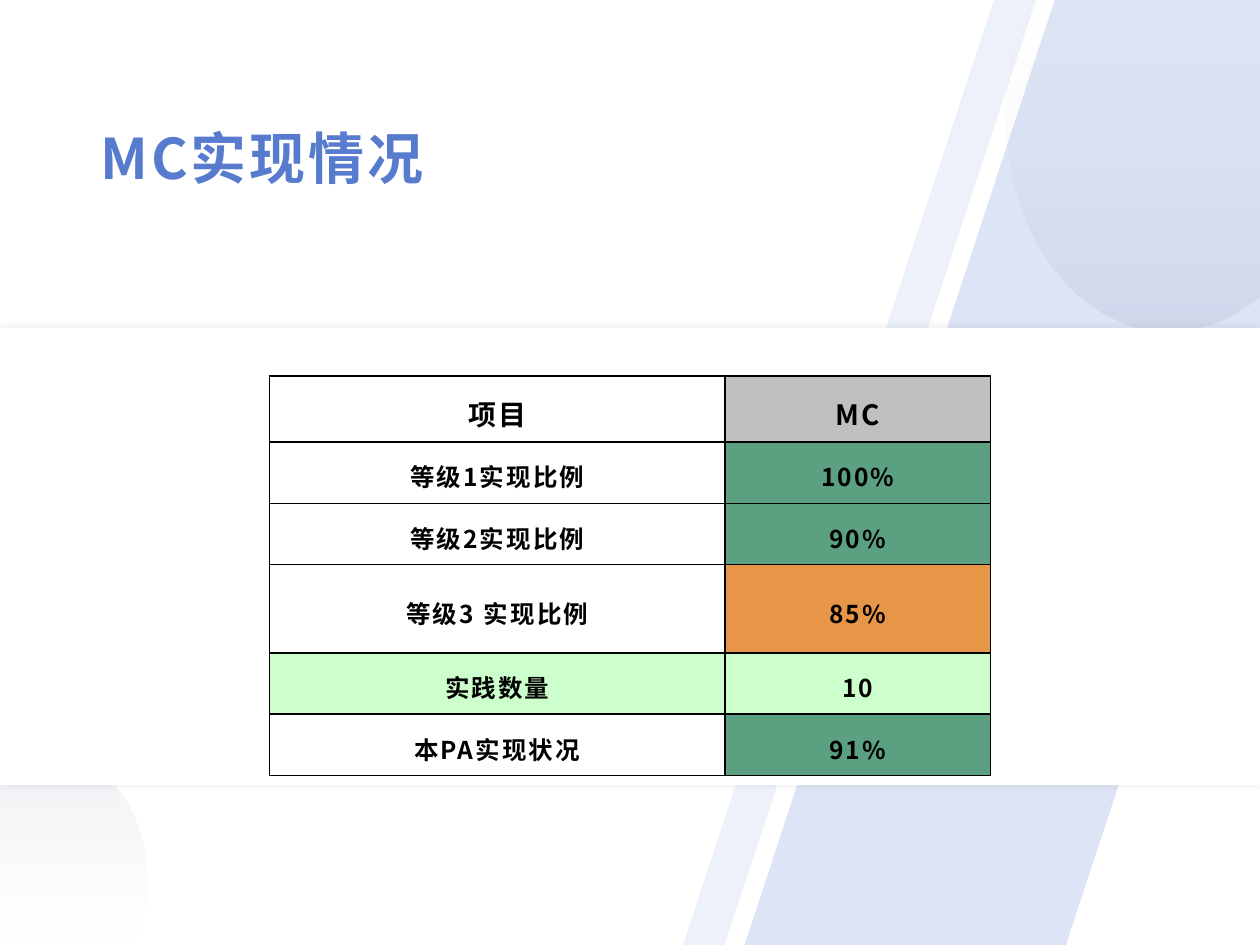
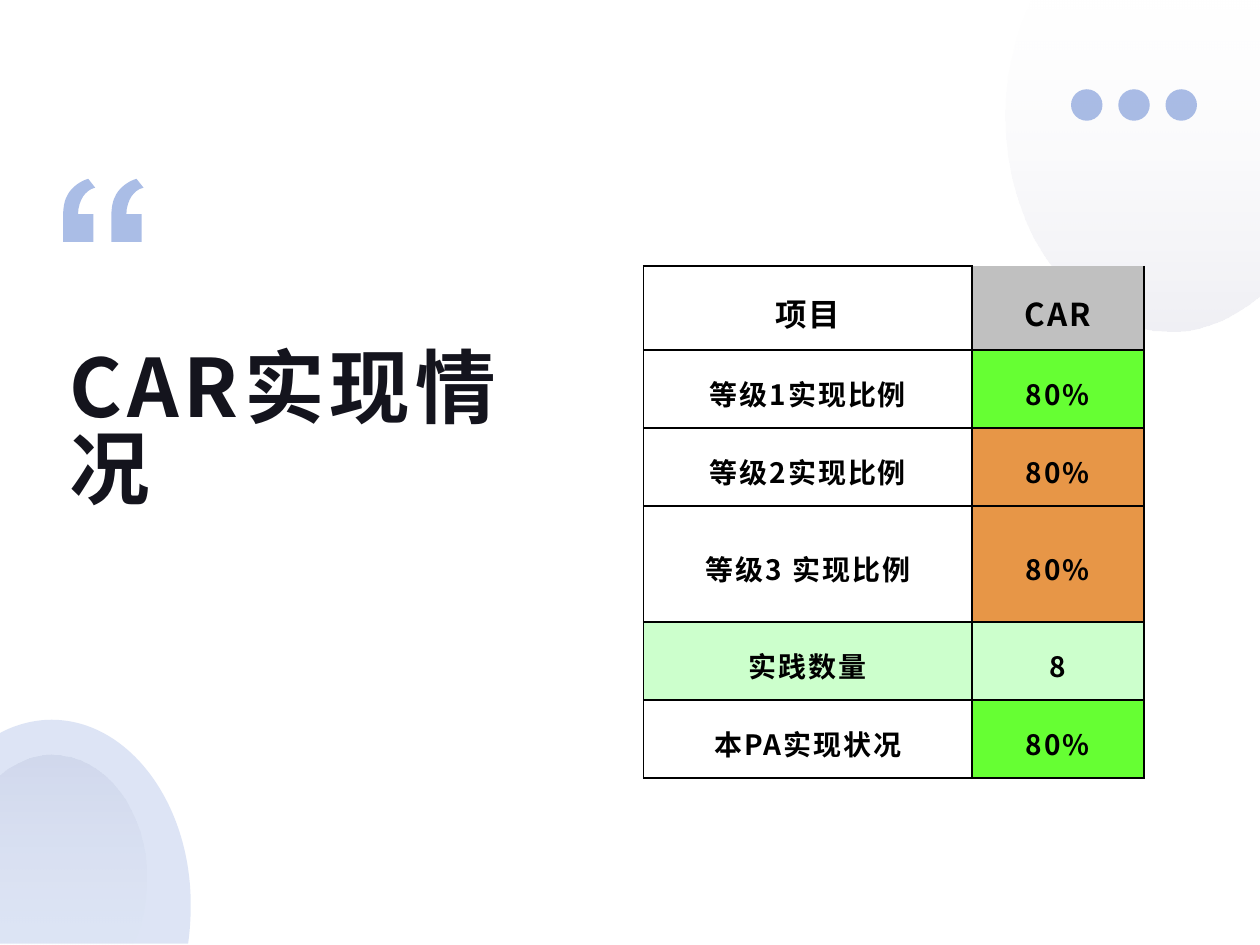
from dataclasses import dataclass

from lxml import etree
from pptx import Presentation
from pptx import util as u
from pptx.dml.color import RGBColor
from pptx.enum import shapes, text
from pptx.oxml import ns


@dataclass(frozen=True)
class Theme:
    font: str = "Noto Sans CJK SC"
    accent: str = "577CCE"
    ink: str = "14141D"
    black: str = "000000"
    white: str = "FFFFFF"
    mist: str = "BEBED2"
    shade: str = "0D0D0D"
    grey: str = "C0C0C0"
    teal: str = "5BA080"
    green: str = "66FF33"
    orange: str = "E79647"
    mint: str = "CCFFCC"
    section_size: int = 32
    quote_size: int = 46
    large_head: int = 18
    head: int = 16
    body: int = 14


theme = Theme()
WIDTH, HEIGHT = 720, 540


def paint(shape, *layers):
    shape.shadow.inherit = False
    shape.line.fill.background()
    if len(layers) == 1:
        shape.fill.solid()
        colors = [shape.fill.fore_color]
    else:
        shape.fill.gradient()
        shape.fill.gradient_angle = 270
        colors = [stop.color for stop in shape.fill.gradient_stops]
    for color, (value, _) in zip(colors, layers):
        color.rgb = RGBColor.from_string(value)
    for node, (_, opacity) in zip(shape.element.spPr.iter(ns.qn("a:srgbClr")), layers):
        if opacity < 100:
            etree.SubElement(node, ns.qn("a:alpha"), val=str(opacity * 1000))


def outline(page, contours, *layers):
    builder = None
    segments = []
    for start, *steps in contours:
        first = [u.Pt(value) for value in start]
        if builder is None:
            builder = page.shapes.build_freeform(*first, scale=1.0)
        else:
            builder.move_to(*first)
        for step in steps:
            points = list(zip(step[::2], step[1::2]))
            builder.add_line_segments([(u.Pt(x), u.Pt(y)) for x, y in points], close=False)
            segments.append(len(points))
        builder.add_line_segments([], close=True)
    shape = builder.convert_to_shape()
    lines = iter(list(shape.element.spPr.iter(ns.qn("a:lnTo"))))
    for count in segments:
        members = [next(lines) for _ in range(count)]
        if count == 3:
            curve = etree.Element(ns.qn("a:cubicBezTo"))
            members[0].addprevious(curve)
            for member in members:
                curve.append(member[0])
                member.getparent().remove(member)
    paint(shape, *layers)


deck = Presentation()
deck.slide_width, deck.slide_height = u.Pt(WIDTH), u.Pt(HEIGHT)
section_page, quote_page = [deck.slides.add_slide(deck.slide_layouts[6]) for _ in range(2)]

top_disc = [
    (589.7, 0), (720, 0), (720, 168.5), (712.8, 174.2), (699.1, 183.6, 684, 189.4, 668.2, 189.4),
    (616.3, 189.4, 574.6, 134.6, 574.6, 66.2), (574.6, 45.4, 578.9, 25.2, 586.1, 7.9),
]
bottom_disc = [
    (74.9, 540), (0, 540), (0, 443.5), (4.3, 439.9), (11.5, 434.9, 20.9, 431.3, 29.5, 431.3),
    (59.8, 431.3, 83.5, 463, 83.5, 501.8), (83.5, 514.1, 81.4, 525.6, 77, 535.7),
]
clear, misty = (theme.white, 10), (theme.mist, 24)
for page in (section_page, quote_page):
    outline(page, [top_disc], clear, misty)
    outline(page, [bottom_disc], misty, clear)

thin_stripe = [(568, 0), (592, 0), (414, 540), (390.3, 540)]
wide_stripe = [(602.7, 0), (720, 0), (720, 203.8), (609.1, 540), (425.5, 540)]
outline(section_page, [thin_stripe], (theme.accent, 10))
outline(section_page, [wide_stripe], (theme.accent, 20))

band = section_page.shapes.add_shape(
    shapes.MSO_SHAPE.RECTANGLE, u.Pt(0), u.Pt(187.4), u.Pt(WIDTH), u.Pt(261.2))
paint(band, (theme.white, 100))
effects = band.element.spPr.find(ns.qn("a:effectLst"))
glow = etree.SubElement(effects, ns.qn("a:outerShdw"), blurRad=str(u.Pt(5)), dist="0", dir="0")
glow_color = etree.SubElement(glow, ns.qn("a:srgbClr"), val=theme.shade)
etree.SubElement(glow_color, ns.qn("a:alpha"), val="10000")

for index in range(3):
    dot = quote_page.shapes.add_shape(
        shapes.MSO_SHAPE.OVAL, u.Pt(612 + 27 * index), u.Pt(51), u.Pt(18), u.Pt(18))
    paint(dot, (theme.accent, 50))

halo = [
    (29.5, 411.3), (73.4, 411.3, 109, 458.8, 109, 517), (109, 524.2, 108.6, 531.4, 107.6, 538.6),
    (107.5, 539.2), (0, 539.2), (0, 419), (0.7, 418.5), (9.4, 414, 19.4, 411.3, 29.5, 411.3),
]
outline(quote_page, [halo], (theme.accent, 20))

quote_mark = [
    (53.3, 122.4), (53.3, 138.2), (36, 138.2), (36, 125.3),
    (36, 118.8, 36.7, 114.5, 38.9, 110.9), (41, 107.3, 45.4, 103.7, 50.4, 102.2),
    (54.4, 107.3), (51.1, 108, 49, 110.2, 47.5, 112.3), (46.1, 114.5, 44.6, 118.1, 44.6, 122.4),
]
second_mark = [
    tuple(value + 27.6 if index % 2 == 0 else value for index, value in enumerate(step))
    for step in quote_mark
]
outline(quote_page, [quote_mark, second_mark], (theme.accent, 50))

titles = [
    (section_page, "MC实现情况", (54, 67.7, 468, 44.6),
     theme.section_size, theme.accent, 1.6, 1),
    (quote_page, "CAR实现情况", (36, 187.9, 265.7, 120.2),
     theme.quote_size, theme.ink, 3, 0.83),
]
lettering = []
for page, words, frame, size, color, spacing, leading in titles:
    box = page.shapes.add_textbox(*map(u.Pt, frame)).text_frame
    box.word_wrap = True
    box.vertical_anchor = text.MSO_ANCHOR.MIDDLE
    box.margin_left = box.margin_right = u.Pt(3.6)
    box.margin_top = box.margin_bottom = u.Pt(1.44)
    lettering.append((box.paragraphs[0], words, size, color, spacing, leading))

labels = ["项目", "等级1实现比例", "等级2实现比例", "等级3 实现比例", "实践数量", "本PA实现状况"]
label_fills = [theme.white] * 4 + [theme.mint, theme.white]
tables = [
    (section_page, (154, 214.8), (260.3, 151.8), (37.8, 35, 35, 50.6, 35, 35), 5,
     (theme.head, 1.2), (theme.body, 1.2),
     ["MC", "100%", "90%", "85%", "10", "91%"],
     [theme.grey, theme.teal, theme.teal, theme.orange, theme.mint, theme.teal]),
    (quote_page, (367.8, 152), (187.6, 98.3), (48, 44.6, 44.6, 66.2, 44.6, 44.6), 8.4,
     (theme.large_head, 1.3), (theme.head, 1.2),
     ["CAR", "80%", "80%", "80%", "8", "80%"],
     [theme.grey, theme.green, theme.orange, theme.orange, theme.mint, theme.green]),
]
for page, corner, widths, heights, margin, head, body, values, value_fills in tables:
    table = page.shapes.add_table(
        6, 2, *map(u.Pt, corner), u.Pt(sum(widths)), u.Pt(sum(heights))).table
    table.first_row = table.horz_banding = False
    for column, width in zip(table.columns, widths):
        column.width = u.Pt(width)
    for row, height in zip(table.rows, heights):
        row.height = u.Pt(height)
    contents = zip(zip(labels, values), zip(label_fills, value_fills))
    for row, (words, fills) in enumerate(contents):
        for column in range(2):
            cell = table.cell(row, column)
            cell.vertical_anchor = text.MSO_ANCHOR.MIDDLE
            cell.margin_left = cell.margin_right = u.Pt(13.7)
            cell.margin_top = cell.margin_bottom = u.Pt(margin)
            properties = cell._tc.get_or_add_tcPr()
            for side in "LRTB":
                border = etree.SubElement(properties, ns.qn(f"a:ln{side}"), w=str(u.Pt(1)))
                if page is quote_page and (row, column, side) == (0, 1, "T"):
                    etree.SubElement(border, ns.qn("a:noFill"))
                else:
                    border_fill = etree.SubElement(border, ns.qn("a:solidFill"))
                    etree.SubElement(border_fill, ns.qn("a:srgbClr"), val=theme.black)
            cell.fill.solid()
            cell.fill.fore_color.rgb = RGBColor.from_string(fills[column])
            para = cell.text_frame.paragraphs[0]
            para.alignment = text.PP_ALIGN.CENTER
            size, spacing = body if row else head
            lettering.append((para, words[column], size, theme.black, spacing, 1.2))

for para, words, size, color, spacing, leading in lettering:
    para.line_spacing = float(leading)
    span = para.add_run()
    span.text = words
    span.font.size = u.Pt(size)
    span.font.bold = True
    span.font.color.rgb = RGBColor.from_string(color)
    span.font.name = theme.font
    properties = span._r.get_or_add_rPr()
    properties.set("spc", str(round(spacing * 100)))
    etree.SubElement(properties, ns.qn("a:ea"), typeface=theme.font)

deck.save("out.pptx")
